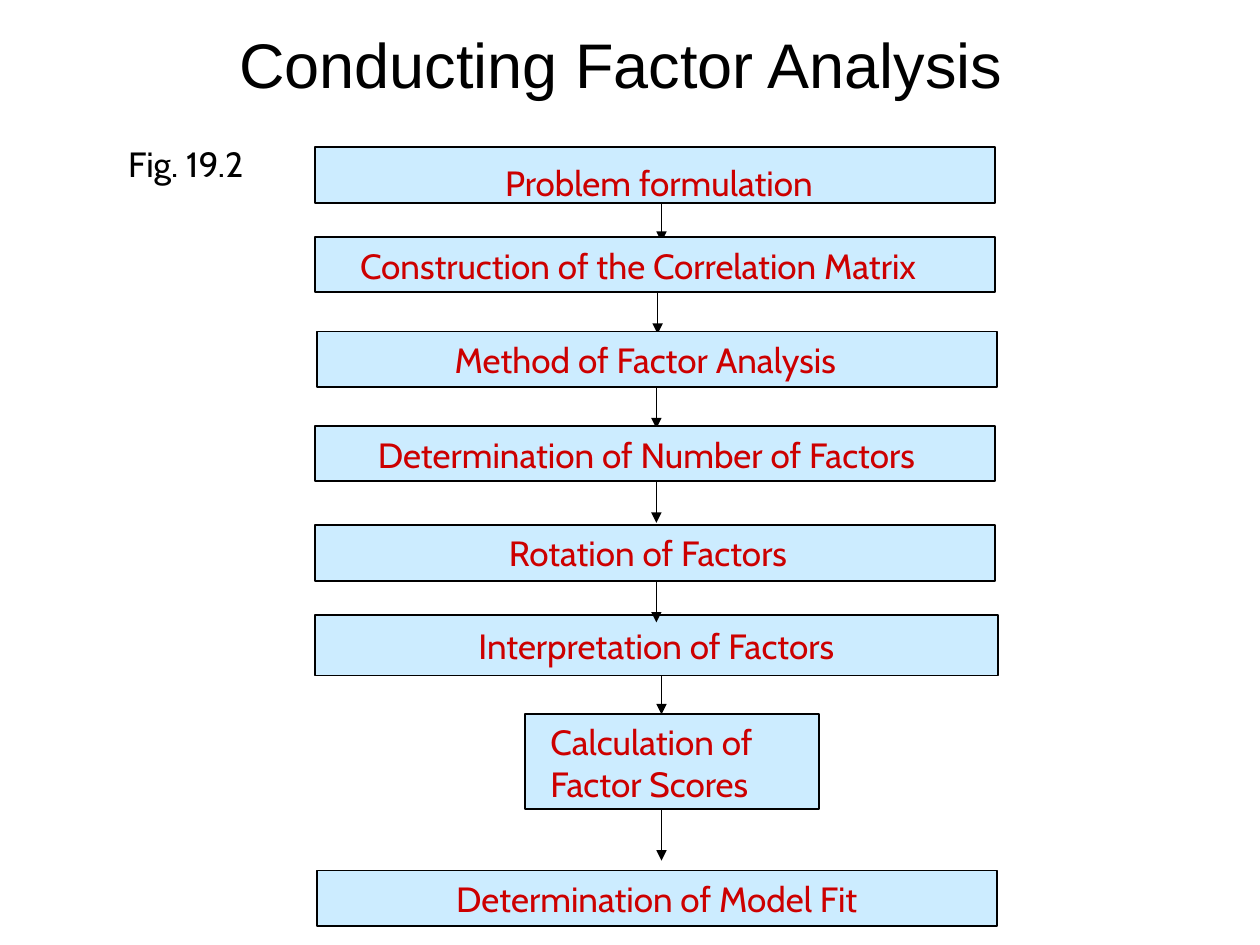
from dataclasses import dataclass

from lxml import etree
from pptx import Presentation
from pptx import util as u
from pptx.dml.color import RGBColor
from pptx.enum import shapes, text
from pptx.oxml import ns

Pt = u.Pt
LEFT, CENTER, RIGHT = text.PP_ALIGN.LEFT, text.PP_ALIGN.CENTER, text.PP_ALIGN.RIGHT


@dataclass(frozen=True)
class Theme:
    """Colours, fonts and sizes of the slide."""
    ink: RGBColor = RGBColor(0, 0, 0)
    accent: RGBColor = RGBColor(0xCC, 0, 0)
    fill: RGBColor = RGBColor(0xCC, 0xEC, 0xFF)
    title_font: str = "Arial"
    body_font: str = "Cabin"
    title_size: float = 36
    body_size: float = 20
    line_width: float = 1


class FlowSlide:
    """Draws flowchart elements on one slide, in points."""

    def __init__(self, slide, theme):
        """Keep the slide and its theme."""
        self.slide, self.theme = slide, theme

    def set_text(self, shape, lines, font, size, color, align, anchor):
        """Fill a shape with one paragraph per line."""
        frame = shape.text_frame
        frame.word_wrap = True
        frame.vertical_anchor = anchor
        frame.text = "\n".join(lines)
        for paragraph in frame.paragraphs:
            paragraph.alignment = align
            paragraph.font.name = font
            paragraph.font.size = Pt(size)
            paragraph.font.color.rgb = color

    def title(self, line, place):
        """Add the slide title."""
        box = self.slide.shapes.add_textbox(*map(Pt, place))
        self.set_text(box, [line], self.theme.title_font, self.theme.title_size,
                      self.theme.ink, CENTER, text.MSO_ANCHOR.MIDDLE)

    def label(self, lines, place, color, align=LEFT):
        """Add a body text box."""
        box = self.slide.shapes.add_textbox(*map(Pt, place))
        self.set_text(box, lines, self.theme.body_font, self.theme.body_size,
                      color, align, text.MSO_ANCHOR.TOP)

    def box(self, place, lines=()):
        """Add an outlined box, with centred text if lines are given."""
        shape = self.slide.shapes.add_shape(shapes.MSO_SHAPE.RECTANGLE, *map(Pt, place))
        shape.shadow.inherit = False
        shape.fill.solid()
        shape.fill.fore_color.rgb = self.theme.fill
        shape.line.color.rgb = self.theme.ink
        shape.line.width = Pt(self.theme.line_width)
        if lines:
            self.set_text(shape, lines, self.theme.body_font, self.theme.body_size,
                          self.theme.accent, CENTER, text.MSO_ANCHOR.MIDDLE)

    def arrow(self, x, top, bottom):
        """Add a downward arrow."""
        connector = self.slide.shapes.add_connector(
            shapes.MSO_CONNECTOR.STRAIGHT, Pt(x), Pt(top), Pt(x), Pt(bottom))
        connector.line.color.rgb = self.theme.ink
        connector.line.width = Pt(self.theme.line_width)
        properties = connector._element.spPr
        outline = properties.find(ns.qn("a:ln"))
        etree.SubElement(outline, ns.qn("a:tailEnd"), type="triangle")
        etree.SubElement(properties, ns.qn("a:effectLst"))


BOX_LEFT, BOX_WIDTH, BOX_HEIGHT = 180, 388.8, 31.7
LABEL_HEIGHT = 31

# lines, box (left, top, width, height), label (left, top, width), align, arrow (x, bottom);
# a step without a label carries its text in the box. Later steps lie in front.
STEPS = [
    (["Problem formulation"], (BOX_LEFT, 84.2, BOX_WIDTH, BOX_HEIGHT),
     (260.6, 88.6, 211), RIGHT, (378, 138.2)),
    (["Construction of the Correlation Matrix"], (BOX_LEFT, 135.4, BOX_WIDTH, BOX_HEIGHT),
     (198.7, 136.1, 373), LEFT, (375.8, 190.8)),
    (["Method of Factor Analysis"], (BOX_LEFT + 1, 189.4, BOX_WIDTH, BOX_HEIGHT),
     (252.7, 190.1, 257.8), LEFT, (375.1, 244.8)),
    (["Determination of Number of Factors"], (BOX_LEFT, 243.4, BOX_WIDTH, BOX_HEIGHT),
     (208.8, 244.1, 357.1), LEFT, (375.1, 298.8)),
    (["Interpretation of Factors"], (BOX_LEFT, 351.4, 390.2, 34.6),
     None, CENTER, (378, 408.2)),
    (["Rotation of Factors"], (BOX_LEFT, 300.2, BOX_WIDTH, BOX_HEIGHT),
     (283.7, 300.2, 192.2), LEFT, (375.1, 355.7)),
    (["Calculation of", "Factor Scores"], (300.2, 408.2, 167.8, 54),
     (307.4, 408.2, 143.3), LEFT, (378, 491.8)),
    (["Determination of Model Fit"], (BOX_LEFT + 1, 497.5, BOX_WIDTH, BOX_HEIGHT),
     None, CENTER, None),
]


def main():
    """Build and save the presentation."""
    presentation = Presentation()
    presentation.slide_width, presentation.slide_height = Pt(720), Pt(540)
    theme = Theme()
    flow = FlowSlide(presentation.slides.add_slide(presentation.slide_layouts[6]), theme)
    flow.title("Conducting Factor Analysis", (48.2, 12.2, 613.4, 48.2))
    flow.label(["Fig. 19.2"], (66.2, 77.8, 102.2, LABEL_HEIGHT), theme.ink)
    for lines, place, label, align, arrow in STEPS:
        flow.box(place, () if label else lines)
        if label:
            height = LABEL_HEIGHT + 24 * (len(lines) - 1)
            flow.label(lines, (*label, height), theme.accent, align)
        if arrow:
            x, bottom = arrow
            flow.arrow(x, place[1] + place[3], bottom)
    presentation.save("out.pptx")


main()
